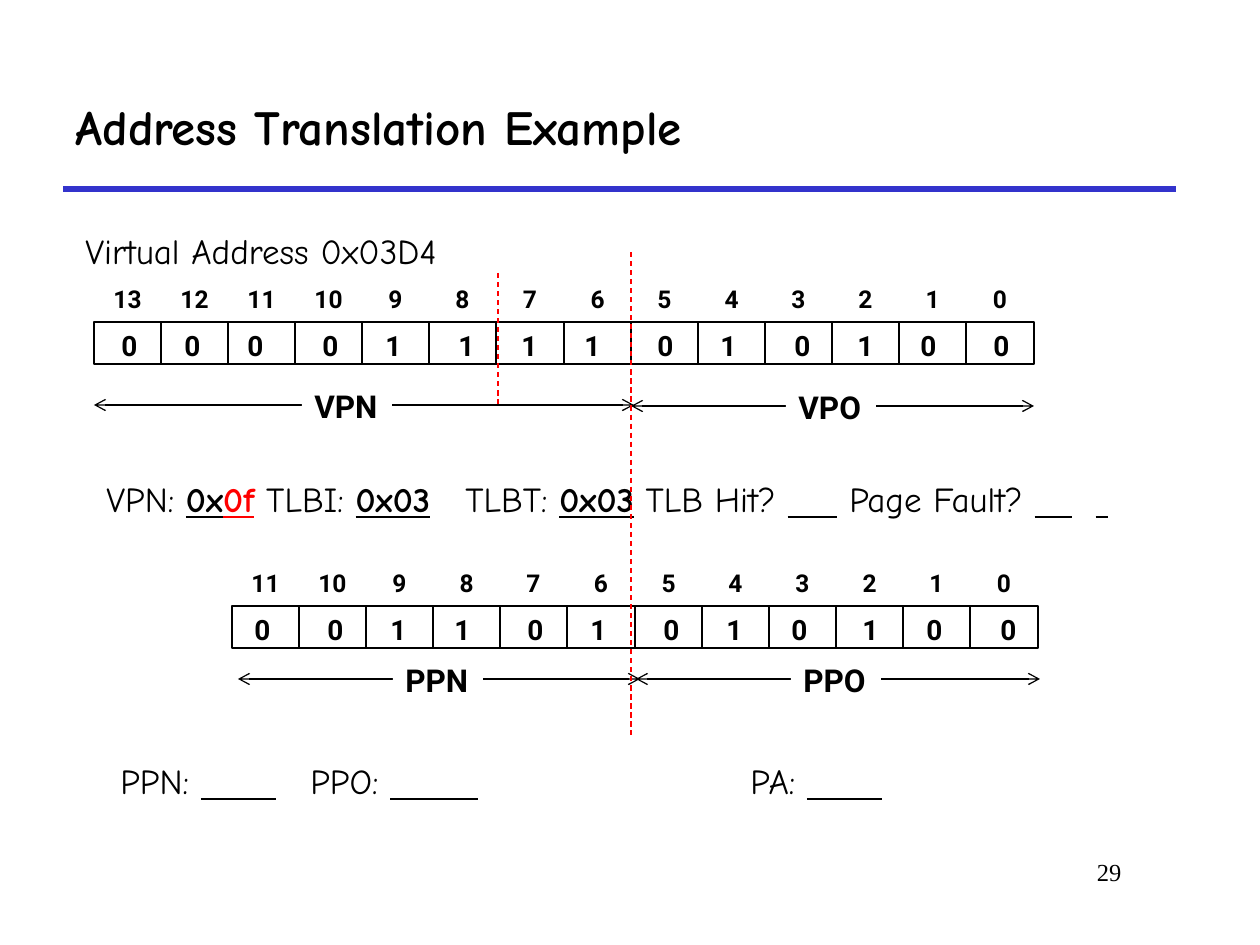
from lxml.etree import SubElement
from pptx import Presentation
from pptx.dml.color import RGBColor
from pptx.enum.dml import MSO_LINE
from pptx.enum.shapes import MSO_CONNECTOR, MSO_SHAPE
from pptx.enum.text import MSO_ANCHOR, MSO_AUTO_SIZE, PP_ALIGN
from pptx.oxml.ns import qn
from pptx.util import Emu, Pt

BLACK, WHITE, RED, BLUE = "000000", "FFFFFF", "FF0000", "3333CC"
BODY, DIGITS, NUMBER = "Comic Neue", "Roboto", "Times New Roman"


def px(length):
    return Emu(round(length * 914400 / 126))


def color(value):
    return RGBColor.from_string(value)


class AddressSlide:
    """Draws the elements of the address translation slide in one style."""

    def __init__(self, presentation):
        self.slide = presentation.slides.add_slide(presentation.slide_layouts[5])
        self.shapes = self.slide.shapes

    def format_run(self, run, size, font=BODY, bold=False, underline=False, ink=BLACK):
        run.font.size = Pt(size)
        run.font.name = font
        run.font.bold = bold
        run.font.underline = underline
        run.font.color.rgb = color(ink)

    def title(self, text, left, top, width, height):
        title = self.shapes.title
        title.left, title.top, title.width, title.height = map(px, (left, top, width, height))
        frame = title.text_frame
        frame.text = text
        frame.vertical_anchor = MSO_ANCHOR.MIDDLE
        frame.paragraphs[0].alignment = PP_ALIGN.LEFT
        self.format_run(frame.paragraphs[0].runs[0], 28, bold=True)

    def text(self, text, left, top, width, height, size, font=BODY, bold=False,
             align=PP_ALIGN.LEFT, anchor=MSO_ANCHOR.TOP, wrap=False, grow=True):
        box = self.shapes.add_textbox(px(left), px(top), px(width), px(height))
        frame = box.text_frame
        frame.text = text
        frame.word_wrap = wrap
        frame.vertical_anchor = anchor
        frame.auto_size = MSO_AUTO_SIZE.SHAPE_TO_FIT_TEXT if grow else MSO_AUTO_SIZE.NONE
        paragraph = frame.paragraphs[0]
        paragraph.alignment = align
        for run in paragraph.runs:
            self.format_run(run, size, font, bold)
        return box

    def tighten(self, box, size):
        paragraph = box.text_frame.paragraphs[0]
        paragraph.line_spacing = 0.9
        paragraph.space_before = Pt(size * 0.3)

    def answers(self, parts, tabs, left, top, width, height):
        box = self.text("", left, top, width, height, 20, wrap=True)
        paragraph = box.text_frame.paragraphs[0]
        paragraph.line_spacing = 1.4
        tab_list = SubElement(paragraph._p.get_or_add_pPr(), qn("a:tabLst"))
        for position in tabs:
            SubElement(tab_list, qn("a:tab"), pos=str(px(position)), algn="l")
        for text, filled, ink in parts:
            run = paragraph.add_run()
            run.text = text
            self.format_run(run, 20, bold=filled, underline=filled, ink=ink)

    def line(self, start, end, ink=BLACK, weight=0.75, dashed=False, arrows=False):
        line = self.shapes.add_connector(MSO_CONNECTOR.STRAIGHT, *map(px, start + end))
        line.line.color.rgb = color(ink)
        line.line.width = Pt(weight)
        if dashed:
            line.line.dash_style = MSO_LINE.DASH
        if arrows:
            for tag in ("a:headEnd", "a:tailEnd"):
                SubElement(line.line._get_or_add_ln(), qn(tag), type="arrow")
        SubElement(line._element.spPr, qn("a:effectLst"))

    def cell(self, left, top, width, height):
        cell = self.shapes.add_shape(MSO_SHAPE.RECTANGLE, px(left), px(top), px(width), px(height))
        cell.shadow.inherit = False
        cell.fill.background()
        cell.line.color.rgb = color(BLACK)
        cell.line.width = Pt(0.75)

    def bit_row(self, bits, left, top, width, bit_lefts, bit_width):
        count = len(bits)
        edges = [left + width * index // count for index in range(count + 1)]
        for index, (start, end) in enumerate(zip(edges, edges[1:])):
            self.cell(start, top, end - start, 42)
            header = self.text(str(count - 1 - index), start, top - 42, end - start, 42, 14,
                               DIGITS, True, PP_ALIGN.CENTER, MSO_ANCHOR.MIDDLE, grow=False)
            self.tighten(header, 14)
        for bit, bit_left in zip(bits, bit_lefts):
            self.text(bit, bit_left, top, bit_width, 47, 16, DIGITS, True, PP_ALIGN.CENTER,
                      wrap=True)

    def span(self, name, start, end, y, label_left, label_top):
        self.line((start, y), (end, y), arrows=True)
        label = self.text(name, label_left, label_top, 90, 47, 18, DIGITS, True)
        label.fill.solid()
        label.fill.fore_color.rgb = color(WHITE)
        self.tighten(label, 18)


def main():
    presentation = Presentation()
    presentation.slide_width, presentation.slide_height = px(1260), px(945)
    page = AddressSlide(presentation)

    page.line((63, 189), (1176, 189), BLUE, 3)
    page.text("29", 955, 851, 179, 63, 14, NUMBER, align=PP_ALIGN.RIGHT, wrap=True, grow=False)
    page.title("Address Translation Example", 63, 63, 1113, 126)
    page.text("Virtual Address 0x03D4", 73, 223, 426, 54, 20)

    page.bit_row("00001111010100", 94, 322, 940,
                 (103, 166, 229, 304, 367, 440, 503, 566, 639, 702, 776, 839, 902, 975), 53)
    page.span("VPO", 631, 1034, 406, 786, 386)
    page.span("VPN", 94, 634, 405, 302, 385)

    page.answers([
        ("VPN: ", False, BLACK), ("0x", True, BLACK), ("0f", True, RED),
        (" TLBI: ", False, BLACK), ("0x03", True, BLACK),
        ("\tTLBT: ", False, BLACK), ("0x03", True, BLACK),
        (" TLB Hit? ", False, BLACK), ("    ", True, BLACK),
        (" Page Fault? ", False, BLACK), ("   ", True, BLACK),
        ("  ", False, BLACK), (" ", True, BLACK),
    ], [359], 94, 455, 1166, 72)
    page.answers([
        ("PPN: ", False, BLACK), ("      ", True, BLACK),
        ("\tPPO: ", False, BLACK), ("       ", True, BLACK),
        ("\tPA: ", False, BLACK), ("      ", True, BLACK),
    ], [190, 630], 108, 737, 946, 72)

    page.bit_row("001101010100", 232, 606, 806,
                 (242, 315, 378, 442, 515, 578, 651, 714, 779, 850, 914, 988), 40)
    page.span("PPO", 636, 1040, 679, 791, 659)
    page.span("PPN", 238, 640, 679, 393, 659)

    page.line((631, 252), (631, 735), RED, dashed=True)
    page.line((498, 273), (498, 404), RED, dashed=True)
    presentation.save("out.pptx")


if __name__ == "__main__":
    main()
